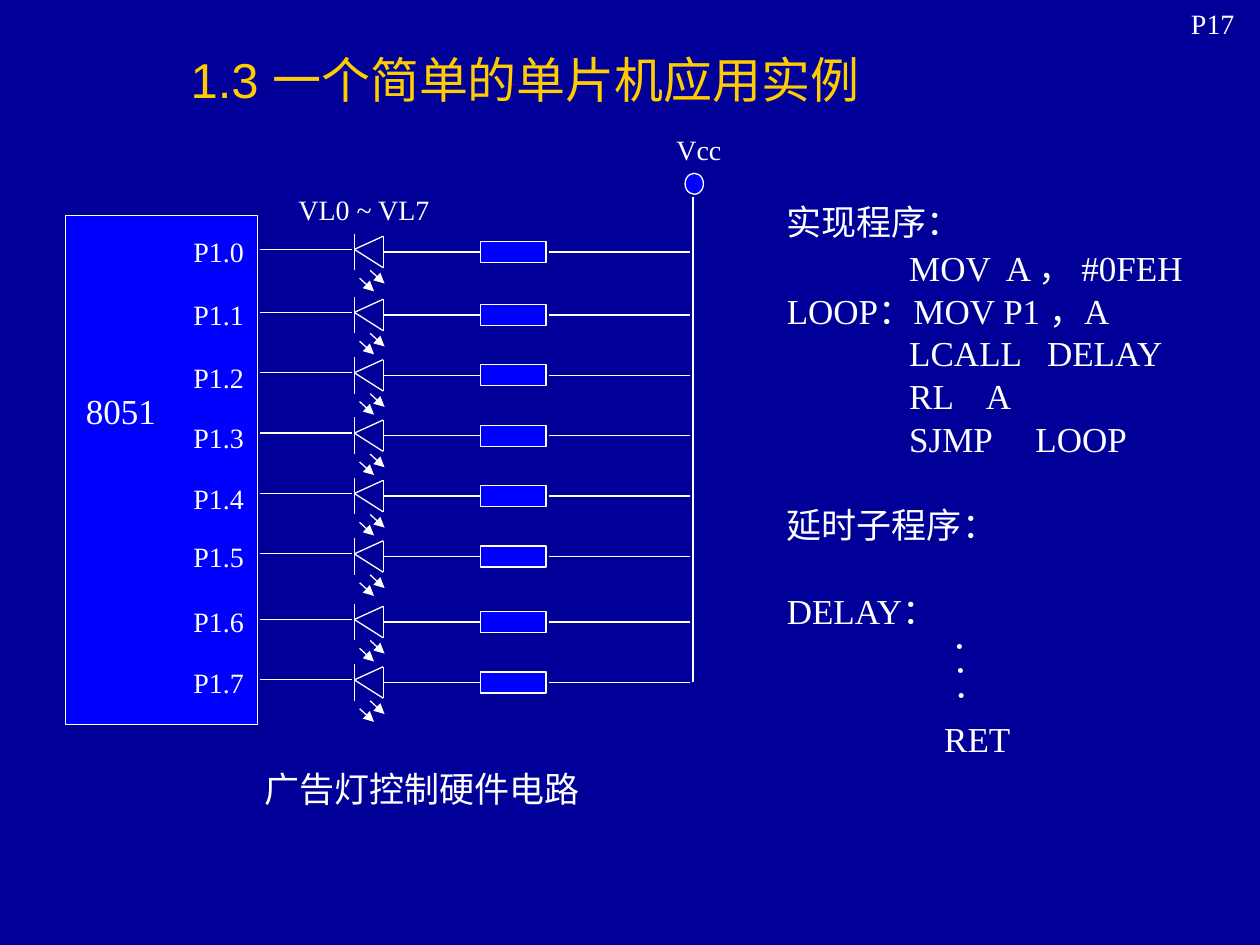
from pptx import Presentation
from pptx.dml.color import RGBColor
from pptx.enum.shapes import MSO_CONNECTOR, MSO_SHAPE
from pptx.enum.text import MSO_ANCHOR, MSO_AUTO_SIZE, PP_ALIGN
from pptx.oxml.ns import qn
from pptx.util import Inches, Pt
from lxml.etree import SubElement

NAVY = RGBColor(0x00, 0x00, 0x99)
BLUE = RGBColor(0x00, 0x00, 0xFF)
WHITE = RGBColor(0xFF, 0xFF, 0xFF)
GOLD = RGBColor(0xFF, 0xCC, 0x00)

# The grid has 480 columns and 360 rows, 48 to the inch
CELL = Inches(1) // 48

# Row of each port wire and of each pin label, from the top of the chip
WIRES = [13, 37, 60, 83, 106, 129, 154, 177]
PINS = [5, 29, 53, 76, 99, 121, 146, 169]

# Code line and space before it in points
CODE = [
    ("实现程序：", 0),
    ("              MOV  A ， #0FEH", 12.5),
    ("LOOP：MOV P1 ，A", 12.5),
    ("              LCALL   DELAY", 12.5),
    ("              RL    A", 12.5),
    ("              SJMP     LOOP", 12.5),
    ("延时子程序：", 37),
    ("DELAY：", 37),
    ("                  RET", 61.5),
]


def grid(*cells):
    return [round(cell * CELL) for cell in cells]


def style(para, size, font="Times New Roman", color=WHITE):
    para.font.size = Pt(size)
    para.font.name = font
    para.font.color.rgb = color


def write(slide, text, box, size=16, turn=0):
    label = slide.shapes.add_textbox(*grid(*box))
    label.rotation = turn
    label.text_frame.word_wrap = True
    para = label.text_frame.paragraphs[0]
    para.text = text
    style(para, size)
    return label.text_frame


def block(slide, kind, box):
    shape = slide.shapes.add_shape(kind, *grid(*box))
    shape.shadow.inherit = False
    shape.fill.solid()
    shape.fill.fore_color.rgb = BLUE
    shape.line.color.rgb = WHITE
    shape.line.width = Pt(0.75)


def wire(slide, ends, arrow=False):
    line = slide.shapes.add_connector(MSO_CONNECTOR.STRAIGHT, *grid(*ends))
    line.line.color.rgb = WHITE
    line.line.width = Pt(0.75)
    if arrow:
        SubElement(line.line._get_or_add_ln(), qn("a:tailEnd"), type="triangle")
    SubElement(line._element.spPr, qn("a:effectLst"))


def title(slide, box):
    head = slide.shapes.title
    head.left, head.top, head.width, head.height = grid(*box)
    frame = head.text_frame
    frame.text = "1.3 一个简单的单片机应用实例"
    frame.auto_size = MSO_AUTO_SIZE.NONE
    frame.vertical_anchor = MSO_ANCHOR.MIDDLE
    para = frame.paragraphs[0]
    para.alignment = PP_ALIGN.CENTER
    style(para, 28, font="Arial", color=GOLD)


def chip(slide, box):
    left, top, width, _ = box
    block(slide, MSO_SHAPE.RECTANGLE, box)
    for port, row in enumerate(PINS):
        write(slide, f"P1.{port}", (left + width - 29, top + row, 35, 18))
    write(slide, "8051", (left + 3, top + 64, 40, 21), size=20)


def branch(slide, left, top):
    # Port wire, then the diode with its bar and triangle
    tip, base = left + 36, left + 47
    lines = [
        (left, 0, left + 35, 0),
        (tip, -6, tip, 8),
        (base, -5, base, 7),
        (tip, 0, base, -5),
        (tip, 0, base, 7),
        (base, 1, left + 84, 1),
        (left + 110, 1, left + 164, 1),
    ]
    for x, y, end, low in lines:
        wire(slide, (x, top + y, end, top + low))
    # Resistor
    block(slide, MSO_SHAPE.RECTANGLE, (left + 84, top - 3, 25, 8))
    # Light rays
    for x, y in ((tip + 6, top + 8), (tip + 2, top + 11)):
        wire(slide, (x, y, x + 5.5, y + 5), arrow=True)


def supply(slide, box):
    left, top, width, height = box
    write(slide, "Vcc", (left - 11, top, 44, 18))
    block(slide, MSO_SHAPE.OVAL, (left - 3, top + 18, width, 8))
    wire(slide, (left, top + height, left, top + 27))


def circuit(slide, box):
    left, top, width, height = box
    chip(slide, (left, top, 73, height))
    for row in WIRES:
        branch(slide, left + 74, top + row)
    supply(slide, (left + width, top - 34, 7, 212))
    write(slide, "VL0 ~ VL7", (left + 84, top - 11, 72, 18))
    write(slide, "广告灯控制硬件电路", (left + 71, top + 208, 140, 21), size=20)


def code(slide, box):
    left, top, _, _ = box
    (first, _), *rest = CODE
    frame = write(slide, first, box, size=20)
    for text, gap in rest:
        para = frame.add_paragraph()
        para.text = text
        para.line_spacing = 0.5
        para.space_before = Pt(gap)
        style(para, 20)
    # Dots stand for the body of the delay routine
    write(slide, "· · ·", (left + 54, top + 171, 36, 24), size=24, turn=87.9)


def main():
    deck = Presentation()
    deck.slide_width, deck.slide_height = grid(480, 360)
    slide = deck.slides.add_slide(deck.slide_layouts[5])
    slide.background.fill.solid()
    slide.background.fill.fore_color.rgb = NAVY
    title(slide, (0, 0, 400, 60))
    circuit(slide, (25, 82, 239, 194))
    code(slide, (295, 74, 167, 225))
    write(slide, "P17", (449, 0, 31, 18))
    deck.save("out.pptx")


if __name__ == "__main__":
    main()
